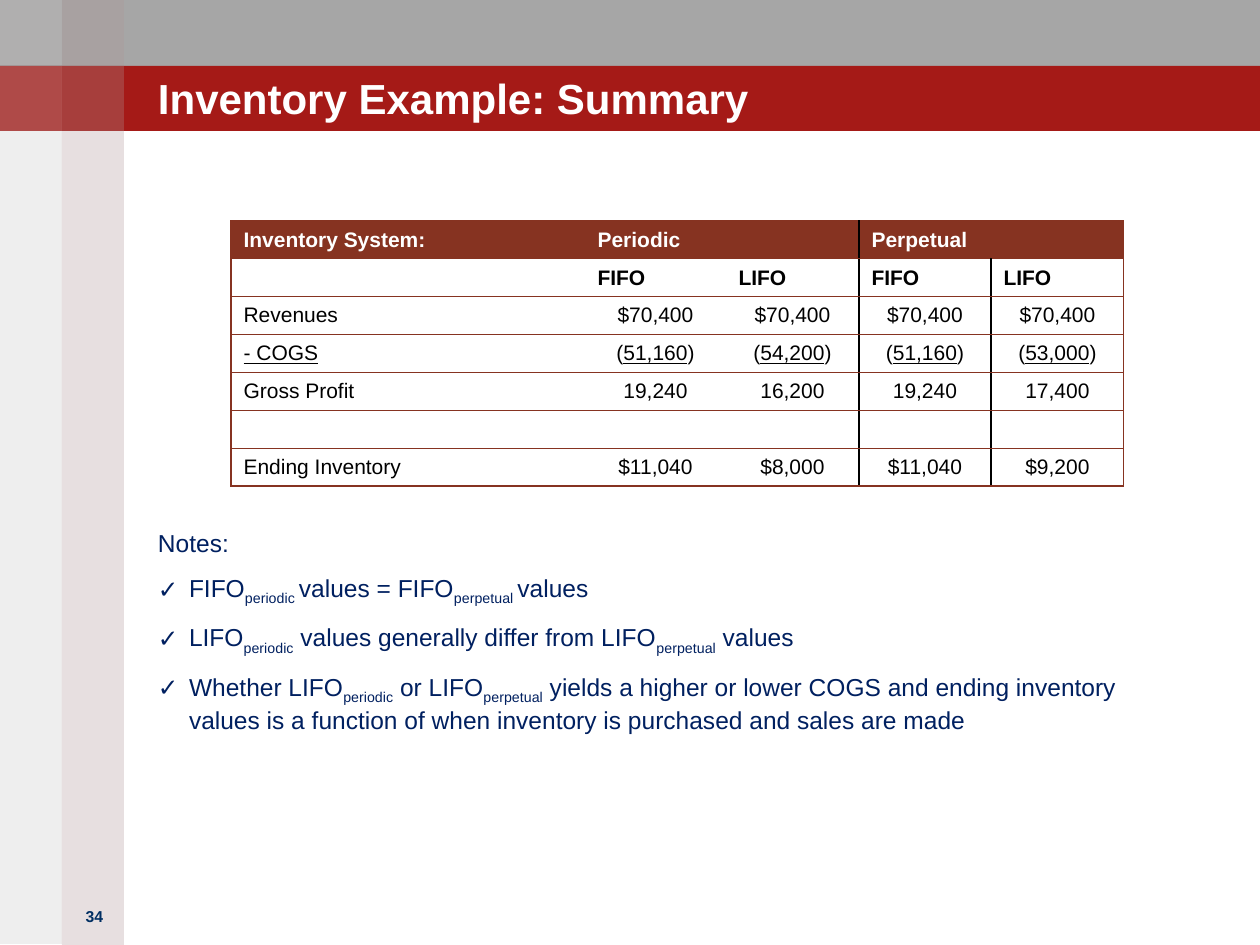
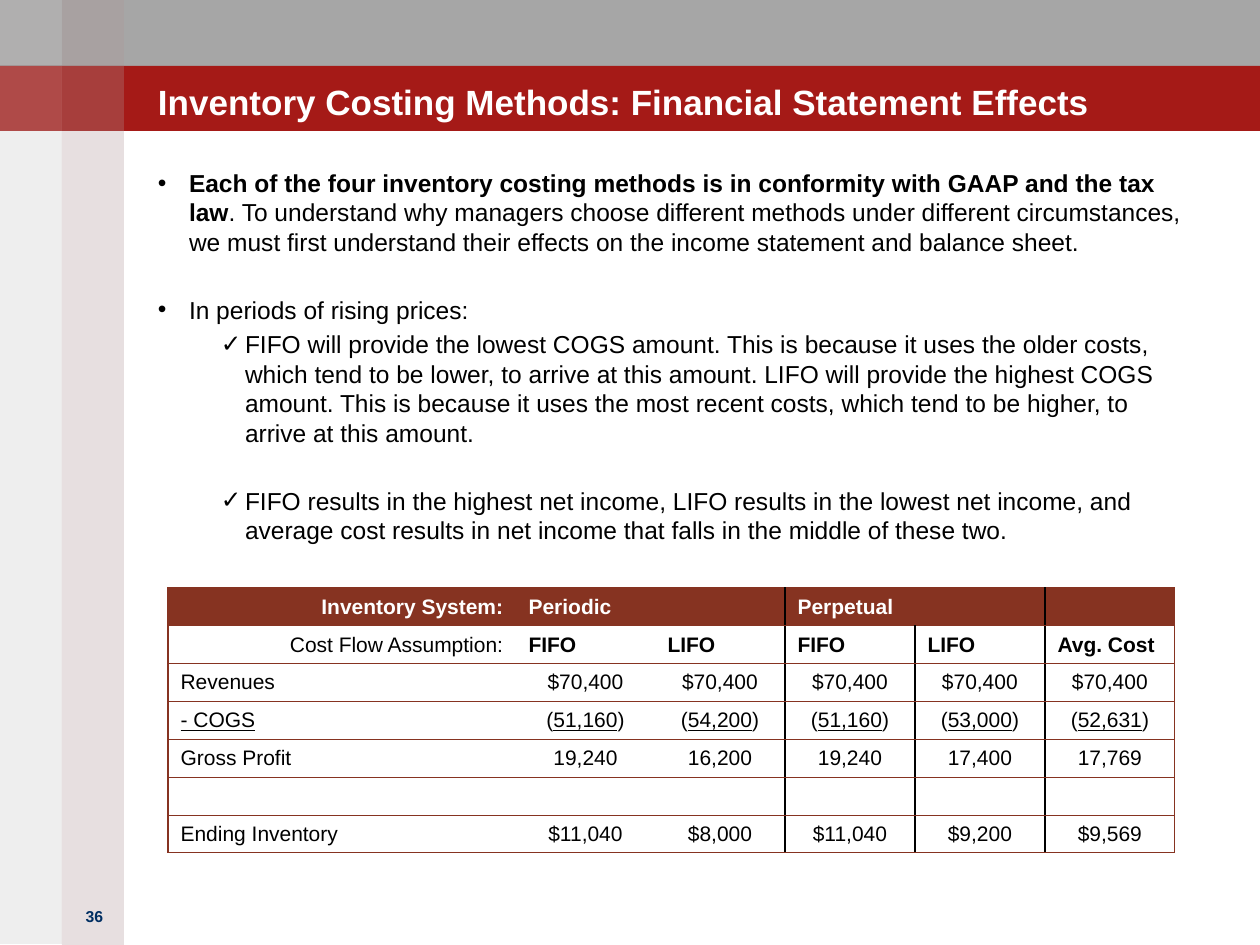
"""Builds two slides on inventory costing methods and their financial effects."""
from lxml.etree import SubElement
from pptx import Presentation
from pptx.dml.color import RGBColor
from pptx.enum.shapes import MSO_SHAPE as Shape
from pptx.enum.text import MSO_ANCHOR as Anchor, PP_ALIGN as Align
from pptx.oxml.ns import qn
from pptx.util import Emu, Pt

FONT = "Arial"
WHITE = RGBColor(0xFF, 0xFF, 0xFF)
BLACK = RGBColor(0x00, 0x00, 0x00)
GRAY = RGBColor(0xA6, 0xA6, 0xA6)
RED = RGBColor(0xA5, 0x1A, 0x17)
MAUVE = RGBColor(0xA0, 0x82, 0x84)
TAUPE = RGBColor(0x93, 0x8F, 0x8F)
BROWN = RGBColor(0x86, 0x33, 0x21)
NAVY = RGBColor(0x00, 0x20, 0x60)
PAGE_BLUE = RGBColor(0x00, 0x2E, 0x62)

WIDTH, HEIGHT = 1260, 945
BAND, STRIP = 66, 62
TEXT_LEFT = 158
ROW_HEIGHT = 36
MERGED_STARTS = (1, 3)


def px(length):
    return Emu(round(length * 914400 / 126))


def write(paragraph, text, size=14, color=BLACK, bold=False, align=None,
          accent=None, before=0, after=0, bullet=None, indent=0, hang=0):
    """Fill a paragraph; pieces between bars take the accent format."""
    properties = paragraph._p.get_or_add_pPr()
    if bullet:
        properties.set("marL", str(px(indent)))
        properties.set("indent", str(-px(hang)))
        SubElement(properties, qn("a:buFont"), typeface=FONT)
        SubElement(properties, qn("a:buChar"), char=bullet)
    paragraph.alignment = align
    paragraph.space_before, paragraph.space_after = Pt(before), Pt(after)
    for index, piece in enumerate(text.split("|")):
        if not piece:
            continue
        run = paragraph.add_run()
        run.text = piece
        font = run.font
        font.name, font.size, font.bold = FONT, Pt(size), bold
        font.color.rgb = color
        if index % 2 and accent == "subscript":
            run._r.get_or_add_rPr().set("baseline", "-25000")
        elif index % 2:
            setattr(font, accent, True)
    if not text:
        SubElement(paragraph._p, qn("a:endParaRPr"), sz=str(size * 100))


def draw_border(cell, side, color, width):
    """Draw one side of a cell, or clear it when there is no colour."""
    line = SubElement(cell._tc.get_or_add_tcPr(), qn(f"a:ln{side}"), w=str(Pt(width)))
    if color is None:
        SubElement(line, qn("a:noFill"))
    else:
        fill = SubElement(line, qn("a:solidFill"))
        SubElement(fill, qn("a:srgbClr"), val=str(color))


class Deck:
    """Holds the shared style and the current slide."""

    def __init__(self):
        self.presentation = Presentation()
        self.presentation.slide_width = px(WIDTH)
        self.presentation.slide_height = px(HEIGHT)
        self.slide = None

    def new_slide(self, title, number, title_size):
        self.slide = self.presentation.slides.add_slide(self.presentation.slide_layouts[6])
        self.rectangle(0, 0, WIDTH, BAND, GRAY)
        self.rectangle(0, BAND, WIDTH, BAND - 1, RED)
        self.rectangle(STRIP, 0, STRIP, HEIGHT, MAUVE, 25)
        self.rectangle(0, 0, STRIP, HEIGHT - 1, TAUPE, 15)
        for top in (0, BAND):
            self.rectangle(STRIP, top, STRIP, BAND - 1, WHITE, 5)
            self.rectangle(0, top, STRIP, BAND - 1, WHITE, 15)
        frame = self.text_box(TEXT_LEFT, 39, 1040, 84)
        frame.vertical_anchor = Anchor.BOTTOM
        write(frame.paragraphs[0], title, size=title_size, color=WHITE, bold=True)
        frame = self.text_box(63, 907, 63, 38)
        write(frame.paragraphs[0], number, size=9, color=PAGE_BLUE, bold=True,
              align=Align.CENTER)

    def rectangle(self, left, top, width, height, color, opacity=100):
        shape = self.slide.shapes.add_shape(
            Shape.RECTANGLE, px(left), px(top), px(width), px(height))
        shape.shadow.inherit = False
        shape.line.fill.background()
        shape.fill.solid()
        shape.fill.fore_color.rgb = color
        if opacity < 100:
            color_element = shape._element.spPr.find(f".//{qn('a:srgbClr')}")
            SubElement(color_element, qn("a:alpha"), val=str(opacity * 1000))

    def text_box(self, left, top, width, height):
        box = self.slide.shapes.add_textbox(px(left), px(top), px(width), px(height))
        frame = box.text_frame
        frame.word_wrap = True
        frame.margin_left = frame.margin_right = 0
        frame.margin_top = frame.margin_bottom = 0
        return frame

    def paragraphs(self, left, top, width, height, items):
        frame = self.text_box(left, top, width, height)
        for index, (text, style) in enumerate(items):
            paragraph = frame.add_paragraph() if index else frame.paragraphs[0]
            write(paragraph, text, **style)

    def table(self, left, top, widths, rows, label_align):
        last = len(widths)
        table = self.slide.shapes.add_table(
            len(rows), last, px(left), px(top),
            px(sum(widths)), px(ROW_HEIGHT * len(rows))).table
        table.first_row = table.horz_banding = False
        for column, width in zip(table.columns, widths):
            column.width = px(width)

        def edge(position):
            if position in (0, last):
                return BROWN, 0.75
            return (BLACK, 1) if position > 2 else (None, 1)

        for row, values in enumerate(rows):
            table.rows[row].height = px(ROW_HEIGHT)
            heading = row < 2
            for column, value in enumerate(values):
                cell = table.cell(row, column)
                cell.vertical_anchor = Anchor.MIDDLE
                start, end = column, column + 1
                if row == 0:
                    start -= column - 1 in MERGED_STARTS
                    end = start + (2 if start in MERGED_STARTS else 1)
                draw_border(cell, "L", *edge(start))
                draw_border(cell, "R", *edge(end))
                draw_border(cell, "T", BROWN, 0.75)
                draw_border(cell, "B", BROWN, 0.75)
                cell.fill.solid()
                cell.fill.fore_color.rgb = WHITE if row else BROWN
                if column:
                    align = Align.LEFT if heading else Align.CENTER
                else:
                    align = label_align if heading else Align.LEFT
                write(cell.text_frame.paragraphs[0], value, size=12, align=align,
                      color=BLACK if row else WHITE, accent="underline",
                      bold=row == 0 or (row == 1 and column > 0))
        for start in MERGED_STARTS:
            table.cell(0, start).merge(table.cell(0, start + 1))


SUMMARY_ROWS = [
    ["Inventory System:", "Periodic", "", "Perpetual", ""],
    ["", "FIFO", "LIFO", "FIFO", "LIFO"],
    ["Revenues"] + ["$70,400"] * 4,
    ["|- COGS|", "(|51,160|)", "(|54,200|)", "(|51,160|)", "(|53,000|)"],
    ["Gross Profit", "19,240", "16,200", "19,240", "17,400"],
    [""] * 5,
    ["Ending Inventory", "$11,040", "$8,000", "$11,040", "$9,200"],
]
AVERAGE_COST = ["", "Avg. Cost", "$70,400", "(|52,631|)", "17,769", "", "$9,569"]


def summary_slide(deck):
    deck.new_slide("Inventory Example: Summary", "34", 24)
    note = dict(color=NAVY, accent="subscript", before=3, after=6,
                bullet="✓", indent=31, hang=31)
    deck.paragraphs(TEXT_LEFT, 528, 987, 220, [
        ("Notes:", dict(color=NAVY, after=6)),
        ("FIFO|periodic |values = FIFO|perpetual |values", note),
        ("LIFO|periodic| values generally differ from LIFO|perpetual| values", note),
        ("Whether LIFO|periodic| or LIFO|perpetual| yields a higher or lower COGS and "
         "ending inventory values is a function of when inventory is purchased and "
         "sales are made", note),
    ])
    deck.table(231, 221, [354, 141, 133, 132, 133], SUMMARY_ROWS, Align.LEFT)


def effects_slide(deck):
    deck.new_slide("Inventory Costing Methods: Financial Statement Effects", "36", 20)
    point = dict(bullet="•", indent=31, hang=31, accent="bold")
    check = dict(bullet="✓", indent=87, hang=24)
    deck.paragraphs(TEXT_LEFT, 168, 1029, 390, [
        ("|Each of the four inventory costing methods is in conformity with GAAP and the "
         "tax law|. To understand why managers choose different methods under different "
         "circumstances, we must first understand their effects on the income statement "
         "and balance sheet.", point),
        ("In periods of rising prices:", dict(point, before=22)),
        ("FIFO will provide the lowest COGS amount. This is because it uses the older "
         "costs, which tend to be lower, to arrive at this amount. LIFO will provide the "
         "highest COGS amount. This is because it uses the most recent costs, which tend "
         "to be higher, to arrive at this amount.", dict(check, before=3)),
        ("FIFO results in the highest net income, LIFO results in the lowest net income, "
         "and average cost results in net income that falls in the middle of these two.",
         dict(check, before=22)),
    ])
    rows = [row + [value] for row, value in zip(SUMMARY_ROWS, AVERAGE_COST)]
    rows[1][0] = "Cost Flow Assumption:"
    deck.table(168, 588, [348, 139] + [130] * 4, rows, Align.RIGHT)


def main():
    deck = Deck()
    summary_slide(deck)
    effects_slide(deck)
    deck.presentation.save("out.pptx")


if __name__ == "__main__":
    main()
